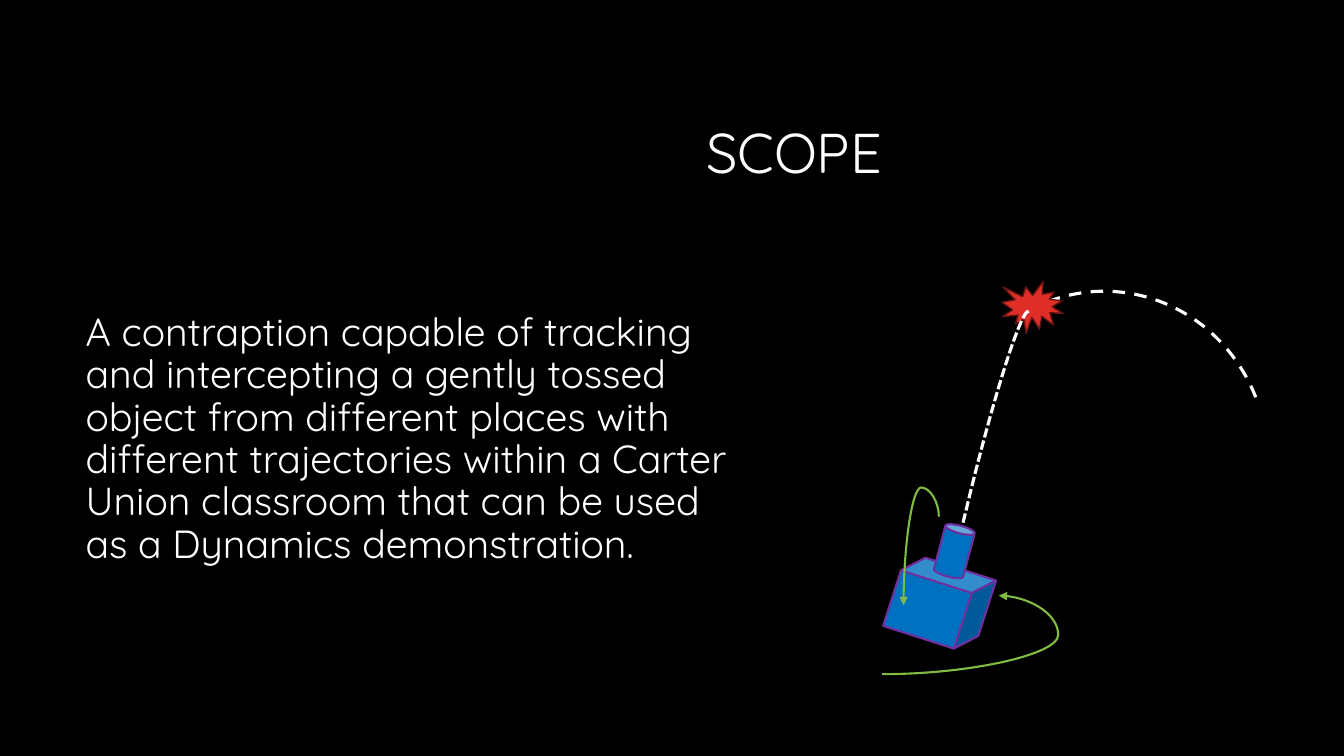
from pptx import Presentation
from pptx.dml.color import RGBColor
from pptx.enum.dml import MSO_LINE
from pptx.enum.shapes import MSO_CONNECTOR, MSO_SHAPE
from pptx.enum.text import MSO_ANCHOR, PP_ALIGN
from pptx.oxml.ns import qn
from pptx.util import Cm, Pt
from lxml import etree

ARC, BURST = MSO_SHAPE.ARC, MSO_SHAPE.EXPLOSION1
CUBE, CAN = MSO_SHAPE.CUBE, MSO_SHAPE.CAN
DASH, SHORT_DASH = MSO_LINE.DASH, MSO_LINE.SQUARE_DOT
CURVE = MSO_CONNECTOR.CURVE
TOP, MIDDLE = MSO_ANCHOR.TOP, MSO_ANCHOR.MIDDLE
LEFT, CENTER = PP_ALIGN.LEFT, PP_ALIGN.CENTER
DEGREE = 60000

THEME = {
    "font": "Quicksand", "title": 40, "body": 28,
    "background": "000000", "light": "FFFFFF",
    "burst": "DF2E28", "burst_edge": "621412",
    "launcher": "0070C0", "launcher_edge": "7030A0", "motion": "81BB42",
}

# Content: lengths in centimetres, angles in degrees
TEXTS = [
    # text, box, size, alignment, anchor, space before
    ("SCOPE", (8.05, 2.13, 23.93, 3.58), "title", CENTER, MIDDLE, 0),
    ("A contraption capable of tracking and intercepting a gently tossed "
     "object from different places with different trajectories within a "
     "Carter Union classroom that can be used as a Dynamics demonstration.",
     (1.91, 7.75, 17.27, 9.53), "body", LEFT, TOP, 10),
]
SHAPES = [
    # kind, box, rotation, fill, line colour, line width, dash, arc angles, mirrored
    (ARC, (23.70, 7.34, 8.26, 8.64), 0, None, "light", 2.25, DASH, (250.74, 339.41), False),
    (BURST, (25.25, 7.09, 1.55, 1.32), 0, "burst", "burst_edge", 1, None, None, False),
    (ARC, (24.38, 7.70, 0.71, 10.13), 13.6, None, "light", 2.25, SHORT_DASH, (270, 56.69), True),
    (CUBE, (22.50, 14.22, 2.36, 1.96), 17.8, "launcher", "launcher_edge", 1.5, None, None, False),
    (CAN, (23.67, 13.23, 0.76, 1.32), 14.9, "launcher", "launcher_edge", 1.5, None, None, False),
]
MOTIONS = [
    # begin and end before rotation, rotation, bend as a share of the width
    ((22.23, 16.99, 25.17, 15.01), 0, 1.51),
    ((22.10, 13.69, 24.33, 14.58), 90, -0.33),
]


def color(name):
    return RGBColor.from_string(THEME[name])


def lengths(values):
    return [Cm(value) for value in values]


def add_text(slide, text, box, size, alignment, anchor, space_before):
    text_frame = slide.shapes.add_textbox(*lengths(box)).text_frame
    text_frame.word_wrap = True
    text_frame.vertical_anchor = anchor
    text_frame.text = text
    paragraph = text_frame.paragraphs[0]
    paragraph.alignment = alignment
    paragraph.line_spacing = 0.9
    paragraph.space_before = Pt(space_before)
    font = paragraph.runs[0].font
    font.name, font.size = THEME["font"], Pt(THEME[size])
    font.color.rgb = color("light")


def style_line(line, name, width, dash=None):
    line.color.rgb = color(name)
    line.width = Pt(width)
    if dash is not None:
        line.dash_style = dash


def add_part(slide, kind, box, rotation, fill, edge, width, dash, angles, mirrored):
    shape = slide.shapes.add_shape(kind, *lengths(box))
    shape.shadow.inherit = False
    shape.rotation = rotation
    if fill:
        shape.fill.solid()
        shape.fill.fore_color.rgb = color(fill)
    else:
        shape.fill.background()
    style_line(shape.line, edge, width, dash)
    if angles:
        for index, angle in enumerate(angles):
            shape.adjustments[index] = angle * DEGREE / 100000
    if mirrored:
        shape._element.spPr.find(qn("a:xfrm")).set("flipH", "1")


def add_motion(slide, points, rotation, bend):
    connector = slide.shapes.add_connector(CURVE, *lengths(points))
    style_line(connector.line, "motion", 1.5)
    properties = connector._element.spPr
    properties.find(qn("a:xfrm")).set("rot", str(rotation * DEGREE))
    geometry = properties.find(qn("a:prstGeom"))
    values = geometry.find(qn("a:avLst"))
    if values is None:
        values = etree.SubElement(geometry, qn("a:avLst"))
    etree.SubElement(values, qn("a:gd"), name="adj1", fmla=f"val {round(bend * 100000)}")
    etree.SubElement(properties.find(qn("a:ln")), qn("a:tailEnd"), type="triangle")
    etree.SubElement(properties, qn("a:effectLst"))


def main():
    presentation = Presentation()
    presentation.slide_width, presentation.slide_height = Cm(33.87), Cm(19.05)
    slide = presentation.slides.add_slide(presentation.slide_layouts[6])
    slide.background.fill.solid()
    slide.background.fill.fore_color.rgb = color("background")

    # Title and description
    for text in TEXTS:
        add_text(slide, *text)
    # Trajectories, impact and launcher
    for part in SHAPES:
        add_part(slide, *part)
    # Arrows for the launcher's two rotations
    for motion in MOTIONS:
        add_motion(slide, *motion)

    presentation.save("out.pptx")


if __name__ == "__main__":
    main()
